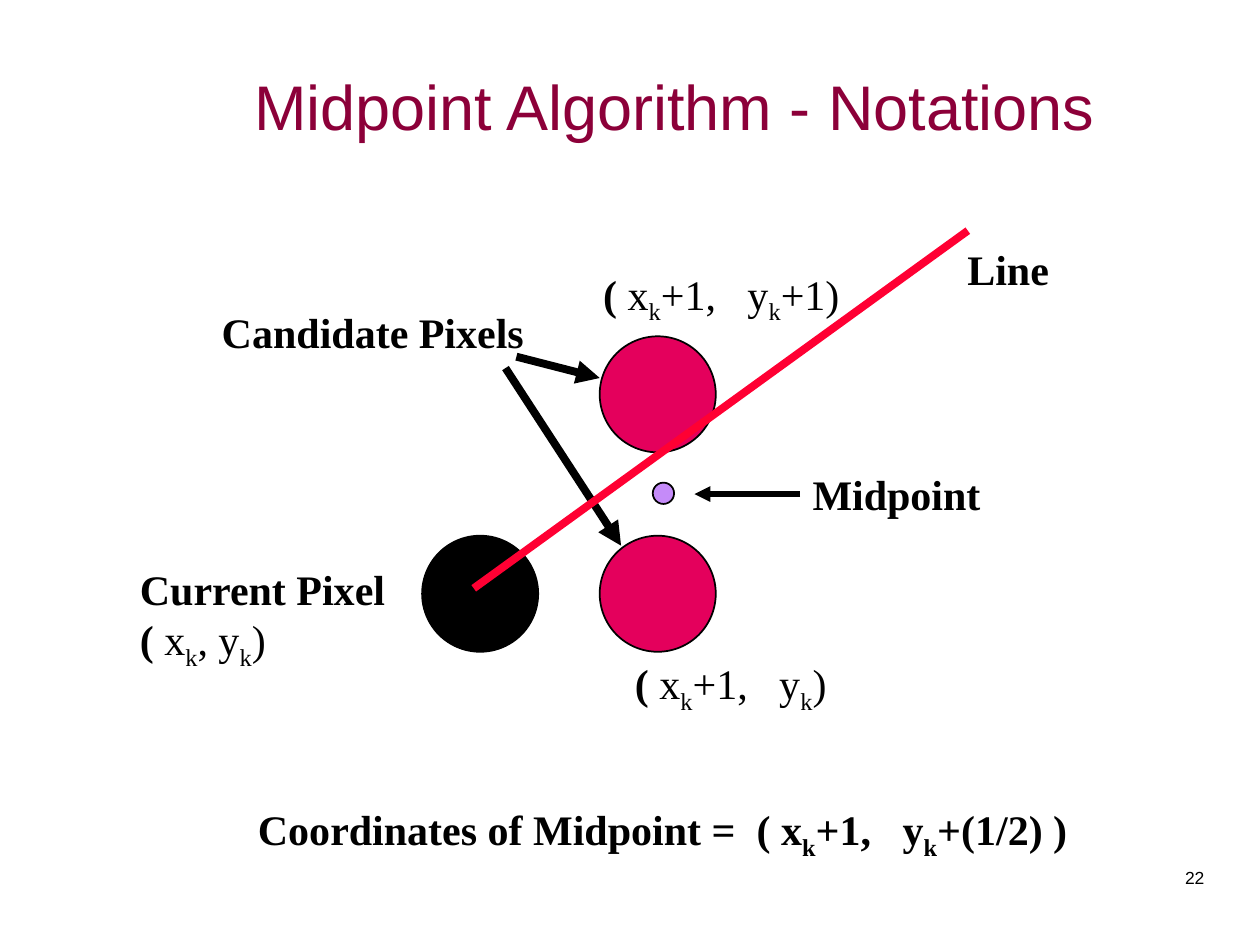
from dataclasses import dataclass

from lxml import etree
from pptx import Presentation
from pptx import util as u
from pptx.dml.color import RGBColor
from pptx.enum import shapes, text
from pptx.oxml import ns


@dataclass(frozen=True)
class Theme:
    """Colours, fonts and type sizes of the slide."""
    ink: str = "000000"
    title: str = "8C0039"
    candidate: str = "E4005C"
    midpoint: str = "C58BF9"
    line: str = "FF0033"
    sans: str = "Arial"
    serif: str = "Times New Roman"
    title_size: int = 36
    label_size: int = 24
    number_size: int = 10


THEME = Theme()
PIXEL = 2.34
LEFT_COLUMN, RIGHT_COLUMN = 8.51, 12.09
UPPER_ROW, LOWER_ROW = 6.78, 10.8


def style_font(font, name, size, colour, bold=False):
    """Set the face, size, colour and weight of a font."""
    font.name = name
    font.size = u.Pt(size)
    font.bold = bold
    font.color.rgb = RGBColor.from_string(colour)


def add_box(page, left, top, width, height, wrap=True):
    """Add an empty text box and return it."""
    box = page.shapes.add_textbox(u.Cm(left), u.Cm(top), u.Cm(width), u.Cm(height))
    box.text_frame.word_wrap = wrap
    return box


def add_spans(para, wording, bold=None):
    """Add runs to a paragraph, with the parts between underscores as subscripts."""
    for index, part in enumerate(wording.split("_")):
        span = para.add_run()
        span.text = part
        if bold is not None:
            span.font.bold = bold
        if index % 2:
            span.font._element.set("baseline", "-25000")


def add_label(page, left, top, width, height, *lines):
    """Add a bold label whose lines may each end in a regular-weight part."""
    box = add_box(page, left, top, width, height, wrap=False)
    frame = box.text_frame
    frame.auto_size = text.MSO_AUTO_SIZE.SHAPE_TO_FIT_TEXT
    for index, (strong, regular) in enumerate(lines):
        para = frame.add_paragraph() if index else frame.paragraphs[0]
        style_font(para.font, THEME.serif, THEME.label_size, THEME.ink, True)
        add_spans(para, strong)
        if regular:
            add_spans(para, regular, bold=False)
    return box


def add_heading(page, wording):
    """Add the slide title."""
    frame = add_box(page, 4.88, 0.43, 17.78, 3.38).text_frame
    frame.vertical_anchor = text.MSO_ANCHOR.MIDDLE
    para = frame.paragraphs[0]
    para.text = wording
    style_font(para.font, THEME.sans, THEME.title_size, THEME.title)


def add_page_number(page, number):
    """Add the slide number at the lower right."""
    para = add_box(page, 19.25, 17.35, 5.28, 1.27).text_frame.paragraphs[0]
    para.text = str(number)
    para.alignment = text.PP_ALIGN.RIGHT
    style_font(para.font, THEME.sans, THEME.number_size, THEME.ink)


def add_circle(page, left, top, diameter, colour):
    """Add an outlined circle."""
    circle = page.shapes.add_shape(
        shapes.MSO_SHAPE.OVAL, u.Cm(left), u.Cm(top), u.Cm(diameter), u.Cm(diameter))
    circle.shadow.inherit = False
    circle.fill.solid()
    circle.fill.fore_color.rgb = RGBColor.from_string(colour)
    circle.line.color.rgb = RGBColor.from_string(THEME.ink)
    circle.line.width = u.Pt(1)


def add_line(page, start, end, colour, width, arrow=True):
    """Add a straight line, by default with an arrowhead at its end."""
    line = page.shapes.add_connector(
        shapes.MSO_CONNECTOR.STRAIGHT, *(u.Cm(value) for value in (*start, *end)))
    line.line.color.rgb = RGBColor.from_string(colour)
    line.line.width = u.Pt(width)
    if arrow:
        etree.SubElement(line.line._get_or_add_ln(), ns.qn("a:tailEnd"), type="triangle")
    etree.SubElement(line._element.spPr, ns.qn("a:effectLst"))
    return line


def main():
    """Build the slide and save it."""
    deck = Presentation()
    deck.slide_width, deck.slide_height = u.Cm(25.4), u.Cm(19.05)
    page = deck.slides.add_slide(deck.slide_layouts[6])

    add_heading(page, "Midpoint Algorithm - Notations")

    add_circle(page, LEFT_COLUMN, LOWER_ROW, PIXEL, THEME.ink)
    for top in (LOWER_ROW, UPPER_ROW):
        add_circle(page, RIGHT_COLUMN, top, PIXEL, THEME.candidate)

    add_line(page, (10.19, 7.42), (12.52, 11), THEME.ink, 4.5)
    add_line(page, (10.41, 7.19), (RIGHT_COLUMN, 7.62), THEME.ink, 4.5)
    add_line(page, (9.55, 11.86), (19.51, 4.65), THEME.line, 4.5, arrow=False)
    add_circle(page, 13.16, 9.73, 0.43, THEME.midpoint)

    add_label(page, 4.22, 6.05, 6.6, 1.27, ("Candidate Pixels", ""))
    add_label(page, 2.57, 11.23, 5.46, 2.44,
              ("Current Pixel", ""), ("(", " x_k_, y_k_)"))
    midpoint = add_label(page, 16.13, 9.32, 3.89, 1.28, ("Midpoint", ""))
    pointer = add_line(page, (16.13, 9.96), (14, 9.96), THEME.ink, 3)
    pointer.begin_connect(midpoint, 1)
    add_label(page, 19.25, 4.78, 2.16, 1.27, ("Line", ""))
    add_label(page, 4.95, 16.08, 17, 1.42,
              ("Coordinates of Midpoint =  ( x_k_+1,   y_k_+(1/2) )", ""))
    add_label(page, 12.55, 13.13, 4.4, 1.42, ("(", " x_k_+1,   y_k_)"))
    add_label(page, 11.91, 5.28, 5.4, 1.42, ("(", " x_k_+1,   y_k_+1)"))

    add_page_number(page, 22)
    deck.save("out.pptx")


if __name__ == "__main__":
    main()
